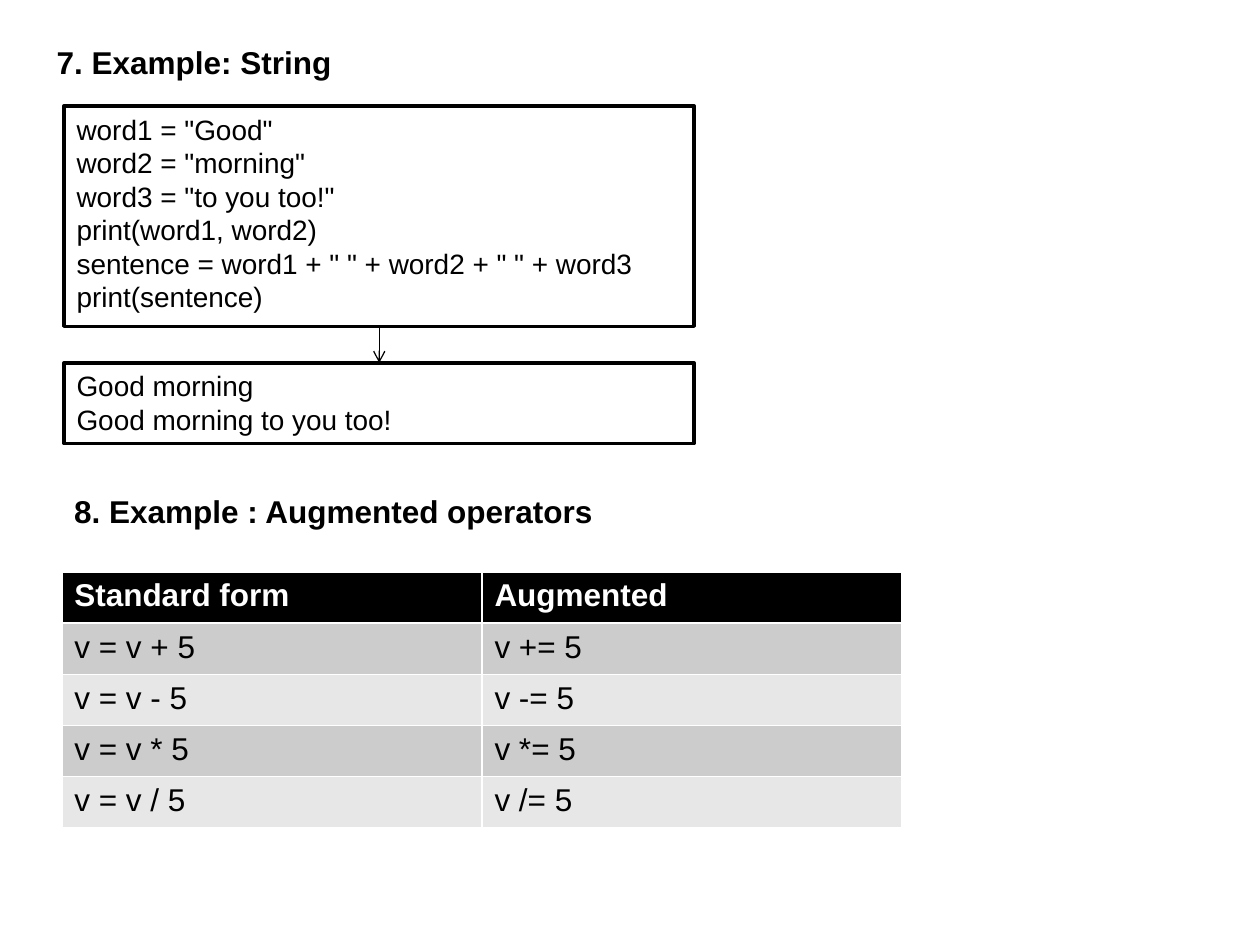
from lxml.etree import SubElement
from pptx import Presentation
from pptx.dml.color import RGBColor
from pptx.enum.shapes import MSO_CONNECTOR, MSO_SHAPE
from pptx.enum.text import MSO_ANCHOR, MSO_AUTO_SIZE, PP_ALIGN
from pptx.oxml.ns import qn
from pptx.util import Inches, Pt

BLACK = RGBColor(0x00, 0x00, 0x00)
WHITE = RGBColor(0xFF, 0xFF, 0xFF)
DARK_BAND = RGBColor(0xCC, 0xCC, 0xCC)
LIGHT_BAND = RGBColor(0xE7, 0xE7, 0xE7)

CODE = [
    'word1 = "Good"',
    'word2 = "morning"',
    'word3 = "to you too!"',
    "print(word1, word2)",
    'sentence = word1 + " " + word2 + " " + word3',
    "print(sentence)",
]
OUTPUT = ["Good morning", "Good morning to you too!"]
OPERATORS = ["+", "-", "*", "/"]


def write_lines(frame, lines, size, color=BLACK, bold=False):
    """Fill a text frame with left-aligned paragraphs."""
    frame_format = {
        "word_wrap": True,
        "auto_size": MSO_AUTO_SIZE.NONE,
        "vertical_anchor": MSO_ANCHOR.TOP,
    }
    for name, value in frame_format.items():
        setattr(frame, name, value)
    frame.text = "\n".join(lines)
    for para in frame.paragraphs:
        para.alignment = PP_ALIGN.LEFT
        for span in para.runs:
            for name, value in {"name": "Arial", "size": Pt(size), "bold": bold}.items():
                setattr(span.font, name, value)
            span.font.color.rgb = color


def place_heading(shape, text, left, top):
    """Position a heading and write its text."""
    position = {
        "left": Inches(left),
        "top": Inches(top),
        "width": Inches(4.65),
        "height": Inches(0.4),
    }
    for name, value in position.items():
        setattr(shape, name, value)
    write_lines(shape.text_frame, [text], 18, bold=True)


def add_code_box(page, lines, left, top, width, height):
    """Add an outlined box of code or printed output."""
    box = page.shapes.add_shape(
        MSO_SHAPE.RECTANGLE, Inches(left), Inches(top), Inches(width), Inches(height)
    )
    box.shadow.inherit = False
    box.fill.solid()
    box.fill.fore_color.rgb = WHITE
    box.line.color.rgb = BLACK
    box.line.width = Pt(2)
    write_lines(box.text_frame, lines, 16)
    return box


def add_arrow(page, source, target):
    """Join the bottom of one box to the top of another."""
    arrow = page.shapes.add_connector(MSO_CONNECTOR.STRAIGHT, 0, 0, 0, 0)
    arrow.begin_connect(source, 2)
    arrow.end_connect(target, 0)
    arrow.line.color.rgb = BLACK
    arrow.line.width = Pt(0.75)
    SubElement(arrow.line._get_or_add_ln(), qn("a:tailEnd"), type="arrow")
    SubElement(arrow._element.spPr, qn("a:effectLst"))


def add_string_example(page, left, top, width):
    """Place the string program above its output."""
    program = add_code_box(page, CODE, left, top, width, 1.75)
    output = add_code_box(page, OUTPUT, left, top + 2.04, width, 0.64)
    add_arrow(page, program, output)


def add_operator_table(page, left, top, width, height):
    """Place the table of standard and augmented forms."""
    rows = [("Standard form", "Augmented")]
    rows += [(f"v = v {sign} 5", f"v {sign}= 5") for sign in OPERATORS]
    table = page.shapes.add_table(
        len(rows), 2, Inches(left), Inches(top), Inches(width), Inches(height)
    ).table
    for row_index, row in enumerate(rows):
        is_header = row_index == 0
        band = DARK_BAND if row_index % 2 else LIGHT_BAND
        for column_index, text in enumerate(row):
            cell = table.cell(row_index, column_index)
            cell.fill.solid()
            cell.fill.fore_color.rgb = BLACK if is_header else band
            write_lines(
                cell.text_frame, [text], 18, WHITE if is_header else BLACK, is_header
            )


def build_page(deck):
    """Compose the slide of string and operator examples."""
    page = deck.slides.add_slide(deck.slide_layouts[5])
    place_heading(page.shapes.title, "7. Example: String", 0.35, 0.29)
    add_string_example(page, 0.51, 0.84, 5)
    subheading = page.shapes.add_textbox(0, 0, 0, 0)
    place_heading(subheading, "8. Example : Augmented operators", 0.49, 3.86)
    add_operator_table(page, 0.49, 4.54, 6.67, 2.03)


def main():
    """Create and save the deck."""
    deck = Presentation()
    deck.slide_width = Inches(10)
    deck.slide_height = Inches(7.5)
    build_page(deck)
    deck.save("out.pptx")


if __name__ == "__main__":
    main()
